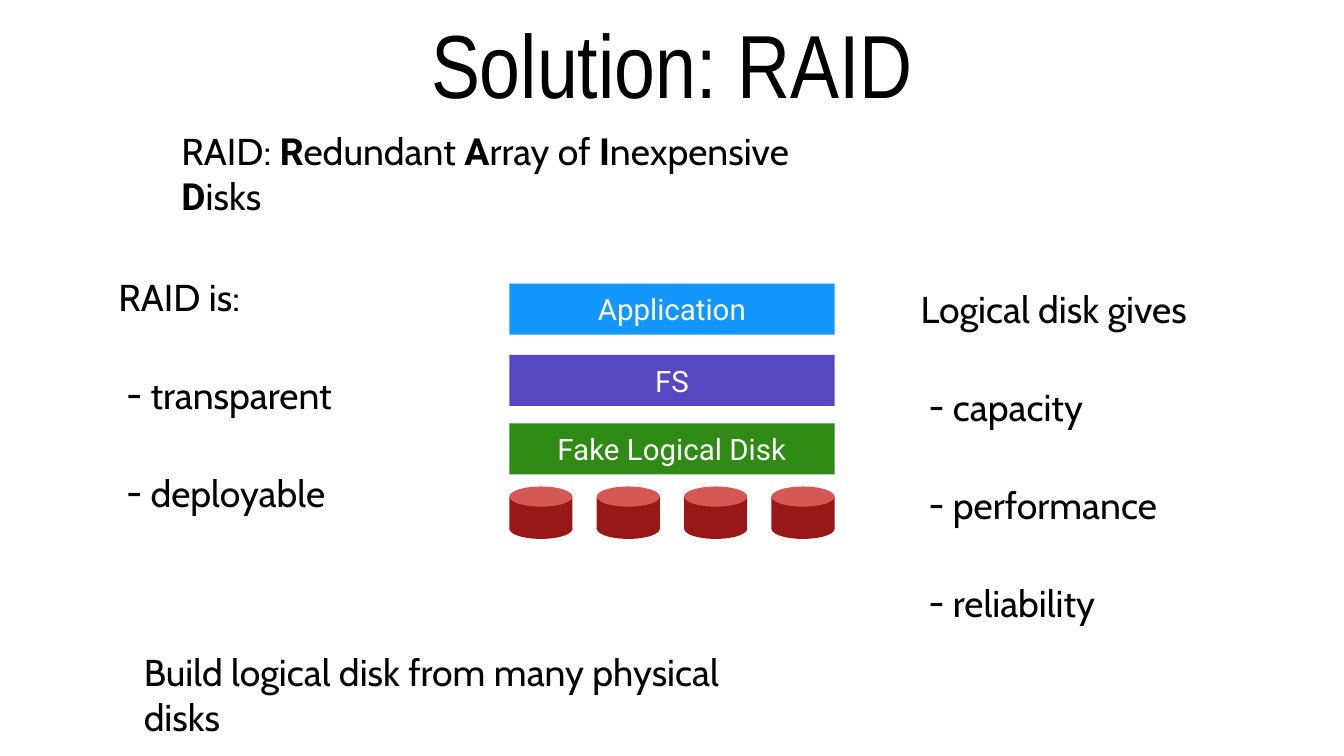
from lxml import etree
from pptx import Presentation
from pptx.dml.color import RGBColor
from pptx.enum.shapes import MSO_SHAPE
from pptx.enum.text import MSO_ANCHOR, MSO_AUTO_SIZE, PP_ALIGN
from pptx.oxml.ns import qn
from pptx.util import Inches, Pt

RECTANGLE, OVAL = MSO_SHAPE.RECTANGLE, MSO_SHAPE.OVAL
TOP, MIDDLE = MSO_ANCHOR.TOP, MSO_ANCHOR.MIDDLE
LEFT, CENTER = PP_ALIGN.LEFT, PP_ALIGN.CENTER
NO_AUTOSIZE = MSO_AUTO_SIZE.NONE

BLACK = RGBColor(0x00, 0x00, 0x00)
WHITE = RGBColor(0xFF, 0xFF, 0xFF)
BLUE = RGBColor(0x14, 0x97, 0xFC)
PURPLE = RGBColor(0x57, 0x47, 0xC1)
GREEN = RGBColor(0x30, 0x8B, 0x16)
DARK_RED = RGBColor(0x97, 0x18, 0x17)
LIGHT_RED = RGBColor(0xD4, 0x59, 0x54)

TITLE_FONT, BODY_FONT, LABEL_FONT = "Arial Narrow", "Cabin", "Roboto"
BODY_SIZE = 20

LAYERS = [
    ("Application", BLUE, 0),
    ("FS", PURPLE, 0.53),
    ("Fake Logical Disk", GREEN, 1.04),
]
DISK_COUNT = 4
ACRONYM = [
    ("RAID: ", False), ("R", True), ("edundant ", False), ("A", True),
    ("rray of ", False), ("I", True), ("nexpensive ", False),
    ("D", True), ("isks", False),
]


def style_font(font, name, size, color, bold=False):
    font.name = name
    font.size = Pt(size)
    font.color.rgb = color
    font.bold = bold


def set_frame(frame, anchor, side=0, end=0):
    frame.word_wrap = True
    frame.auto_size = NO_AUTOSIZE
    frame.vertical_anchor = anchor
    frame.margin_left = frame.margin_right = Inches(side)
    frame.margin_top = frame.margin_bottom = Inches(end)


def place(shape, left, top, width, height):
    shape.left, shape.top = Inches(left), Inches(top)
    shape.width, shape.height = Inches(width), Inches(height)


def set_bullet(para, indent, hanging, mark=None):
    properties = para._p.get_or_add_pPr()
    properties.set("marL", str(Inches(indent)))
    properties.set("indent", str(-Inches(hanging)))
    if mark:
        etree.SubElement(properties, qn("a:buFont"), typeface=BODY_FONT)
        etree.SubElement(properties, qn("a:buChar"), char=mark)
    else:
        etree.SubElement(properties, qn("a:buNone"))


def add_block(shapes, kind, color, left, top, width, height):
    block = shapes.add_shape(
        kind, Inches(left), Inches(top), Inches(width), Inches(height))
    block.shadow.inherit = False
    block.fill.solid()
    block.fill.fore_color.rgb = color
    block.line.fill.background()
    return block


def fill_title(title, left, top, width, height):
    place(title, left, top, width, height)
    frame = title.text_frame
    set_frame(frame, MIDDLE, 0.1, 0.05)
    frame.text = "Solution: RAID"
    para = frame.paragraphs[0]
    para.alignment = CENTER
    style_font(para.runs[0].font, TITLE_FONT, 48, BLACK)


def fill_list(body, heading, items, left, top, width, height):
    place(body, left, top, width, height)
    frame = body.text_frame
    set_frame(frame, TOP, 0.07, 0.04)
    frame.text = "\n".join([heading, *items])
    for index, para in enumerate(frame.paragraphs):
        para.alignment = LEFT
        para.space_before = Pt(28.4 if index else 0)
        if index:
            set_bullet(para, 0.24, 0.18, "-")
        else:
            set_bullet(para, 0, 0)
        style_font(para.runs[0].font, BODY_FONT, BODY_SIZE, BLACK)


def add_sentence(page, parts, anchor, margin, left, top, width, height):
    box = page.shapes.add_textbox(
        Inches(left), Inches(top), Inches(width), Inches(height))
    set_frame(box.text_frame, anchor, margin, margin)
    para = box.text_frame.paragraphs[0]
    for text, bold in parts:
        span = para.add_run()
        span.text = text
        name = LABEL_FONT if bold else BODY_FONT
        style_font(span.font, name, BODY_SIZE, BLACK, bold)


def add_disk(page, left, top, width, height):
    disk = page.shapes.add_group_shape()
    cap = 0.15
    add_block(disk.shapes, OVAL, DARK_RED, left, top + height - cap, width, cap)
    add_block(disk.shapes, RECTANGLE, DARK_RED,
              left, top + cap / 2, width, height - cap)
    add_block(disk.shapes, OVAL, LIGHT_RED, left, top, width, cap)


def add_storage_stack(page, left, top, width):
    layer_height = 0.38
    for name, color, offset in LAYERS:
        layer = add_block(page.shapes, RECTANGLE, color,
                          left, top + offset, width, layer_height)
        frame = layer.text_frame
        set_frame(frame, MIDDLE)
        frame.text = name
        para = frame.paragraphs[0]
        para.alignment = CENTER
        style_font(para.runs[0].font, LABEL_FONT, 15.8, WHITE)

    disk_width, disk_height = 0.47, 0.39
    disk_top = top + 1.51
    disk_pitch = (width - disk_width) / (DISK_COUNT - 1)
    for index in range(DISK_COUNT):
        add_disk(page, left + index * disk_pitch, disk_top,
                 disk_width, disk_height)


def main():
    deck = Presentation()
    deck.slide_width = Inches(10)
    deck.slide_height = deck.slide_width * 9 // 16
    page = deck.slides.add_slide(deck.slide_layouts.get_by_name("Two Content"))
    title, left_body, right_body = page.placeholders

    fill_title(title, 0.5, 0, 9, 0.94)
    add_sentence(page, ACRONYM, MIDDLE, 0.03, 1.32, 1.09, 5.2, 0.4)
    fill_list(left_body, "RAID is:", ["transparent", "deployable"],
              0.81, 2, 1.9, 1.34)
    add_storage_stack(page, 3.79, 2.11, 2.42)
    fill_list(right_body, "Logical disk gives",
              ["capacity", "performance", "reliability"],
              6.78, 2.09, 2.28, 1.83)
    add_sentence(page, [("Build logical disk from many physical disks", False)],
                 TOP, 0, 1.07, 4.83, 4.74, 0.34)

    deck.save("out.pptx")


if __name__ == "__main__":
    main()
